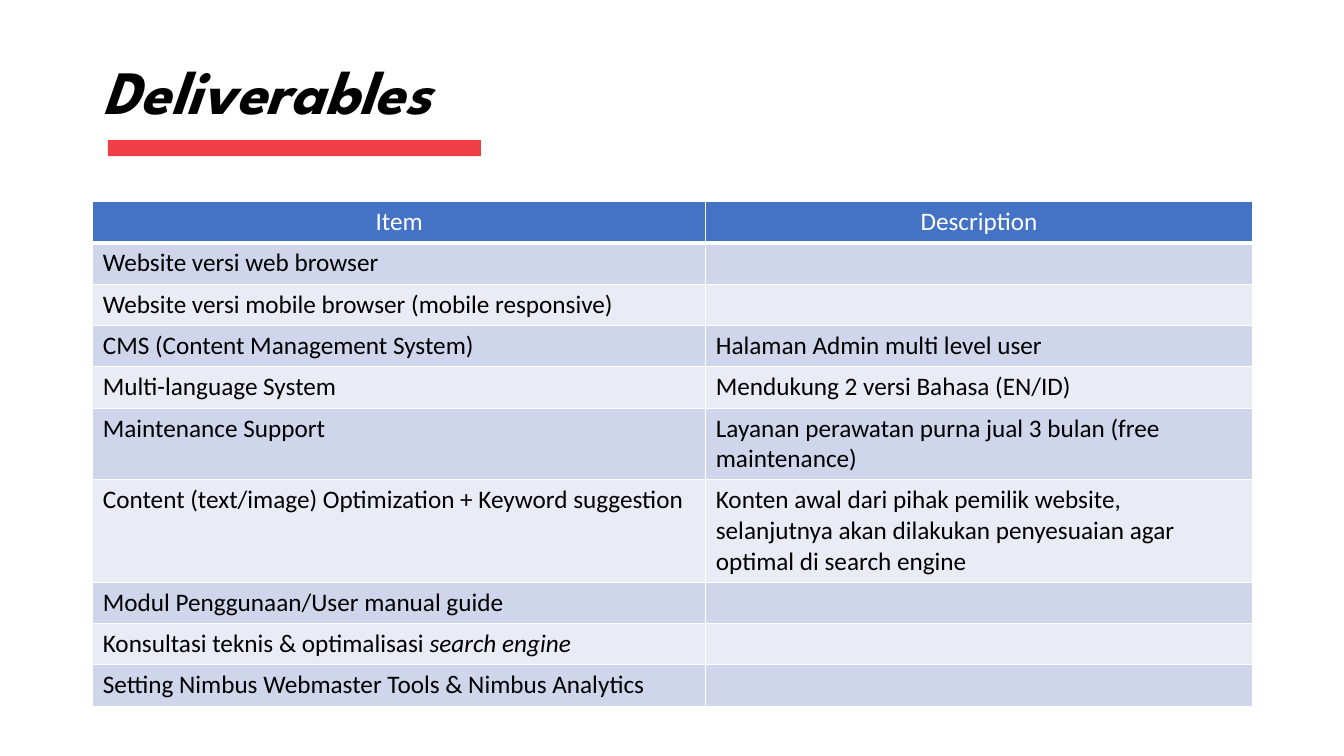
from dataclasses import dataclass

from lxml.etree import SubElement as Sub
from pptx import Presentation
from pptx.dml.color import RGBColor as RGB
from pptx.enum.shapes import MSO_SHAPE as Shape
from pptx.enum.text import MSO_ANCHOR as Anchor, PP_ALIGN as Align
from pptx.oxml.ns import qn
from pptx.slide import Slide
from pptx.table import _Cell as Cell
from pptx.util import Inches, Pt

COLORS = {
    "white": "FFFFFF", "black": "000000", "head": "4472C4",
    "odd": "CFD5EA", "even": "E9EBF5", "bar": "EF3E45",
}
WIDTHS = (6.08, 5.42)
ROW_H = 0.41


@dataclass
class Entry:
    item: str
    note: str = ""
    slant: str = ""


ENTRIES = [
    Entry("Website versi web browser"),
    Entry("Website versi mobile browser (mobile responsive)"),
    Entry("CMS (Content Management System)", "Halaman Admin multi level user"),
    Entry("Multi-language System", "Mendukung 2 versi Bahasa (EN/ID)"),
    Entry("Maintenance Support",
          "Layanan perawatan purna jual 3 bulan (free maintenance)"),
    Entry("Content (text/image) Optimization + Keyword suggestion",
          "Konten awal dari pihak pemilik website, selanjutnya akan dilakukan "
          "penyesuaian agar optimal di search engine"),
    Entry("Modul Penggunaan/User manual guide"),
    Entry("Konsultasi teknis & optimalisasi ", slant="search engine"),
    Entry("Setting Nimbus Webmaster Tools & Nimbus Analytics"),
]


def color(name: str) -> RGB:
    return RGB.from_string(COLORS[name])


def add_run(para, text: str, face: str, size: int, ink: str,
            bold: bool = False, italic: bool = False) -> None:
    run = para.add_run()
    run.text = text
    font = run.font
    font.name, font.size = face, Pt(size)
    font.bold, font.italic = bold, italic
    font.color.rgb = color(ink)


def add_edges(cell: Cell, top: int, bottom: int) -> None:
    """Draw white cell borders; widths are in points."""
    props = cell._tc.get_or_add_tcPr()
    for side, width in (("L", 1), ("R", 1), ("T", top), ("B", bottom)):
        line = Sub(props, qn(f"a:ln{side}"), w=str(Pt(width)))
        fill = Sub(line, qn("a:solidFill"))
        Sub(fill, qn("a:srgbClr"), val=COLORS["white"])


def fill_cell(cell: Cell, row: int, text: str, slant: str = "") -> None:
    head = row == 0
    add_edges(cell, 3 if row == 1 else 1, 3 if head else 1)
    cell.fill.solid()
    shade = "head" if head else "odd" if row % 2 else "even"
    cell.fill.fore_color.rgb = color(shade)
    para = cell.text_frame.paragraphs[0]
    para.font.size = Pt(18)
    if head:
        para.alignment = Align.CENTER
    ink = "white" if head else "black"
    for part, italic in ((text, False), (slant, True)):
        if part:
            add_run(para, part, "Calibri", 18, ink, italic=italic)


def add_grid(slide: Slide) -> None:
    rows = [Entry("Item", "Description"), *ENTRIES]
    table = slide.shapes.add_table(
        len(rows), len(WIDTHS), Inches(0.92), Inches(2),
        Inches(sum(WIDTHS)), Inches(ROW_H * len(rows))).table
    for col, width in zip(table.columns, WIDTHS):
        col.width = Inches(width)
    for num, entry in enumerate(rows):
        table.rows[num].height = Inches(ROW_H)
        fill_cell(table.cell(num, 0), num, entry.item, entry.slant)
        fill_cell(table.cell(num, 1), num, entry.note)


def add_title(slide: Slide) -> None:
    box = slide.shapes.add_textbox(
        Inches(0.92), Inches(0.21), Inches(11.5), Inches(1.45))
    frame = box.text_frame
    frame.word_wrap = True
    frame.vertical_anchor = Anchor.MIDDLE
    para = frame.paragraphs[0]
    para.line_spacing = 0.9
    add_run(para, "Deliverables", "League Spartan", 44, "black", True, True)


def add_bar(slide: Slide) -> None:
    bar = slide.shapes.add_shape(
        Shape.RECTANGLE, Inches(1.07), Inches(1.39), Inches(3.7), Inches(0.16))
    bar.shadow.inherit = False
    bar.fill.solid()
    bar.fill.fore_color.rgb = color("bar")
    bar.line.fill.background()


def main() -> None:
    deck = Presentation()
    deck.slide_width, deck.slide_height = Inches(13.33), Inches(7.5)
    slide = deck.slides.add_slide(deck.slide_layouts[6])
    add_grid(slide)
    add_title(slide)
    add_bar(slide)
    deck.save("out.pptx")


if __name__ == "__main__":
    main()
